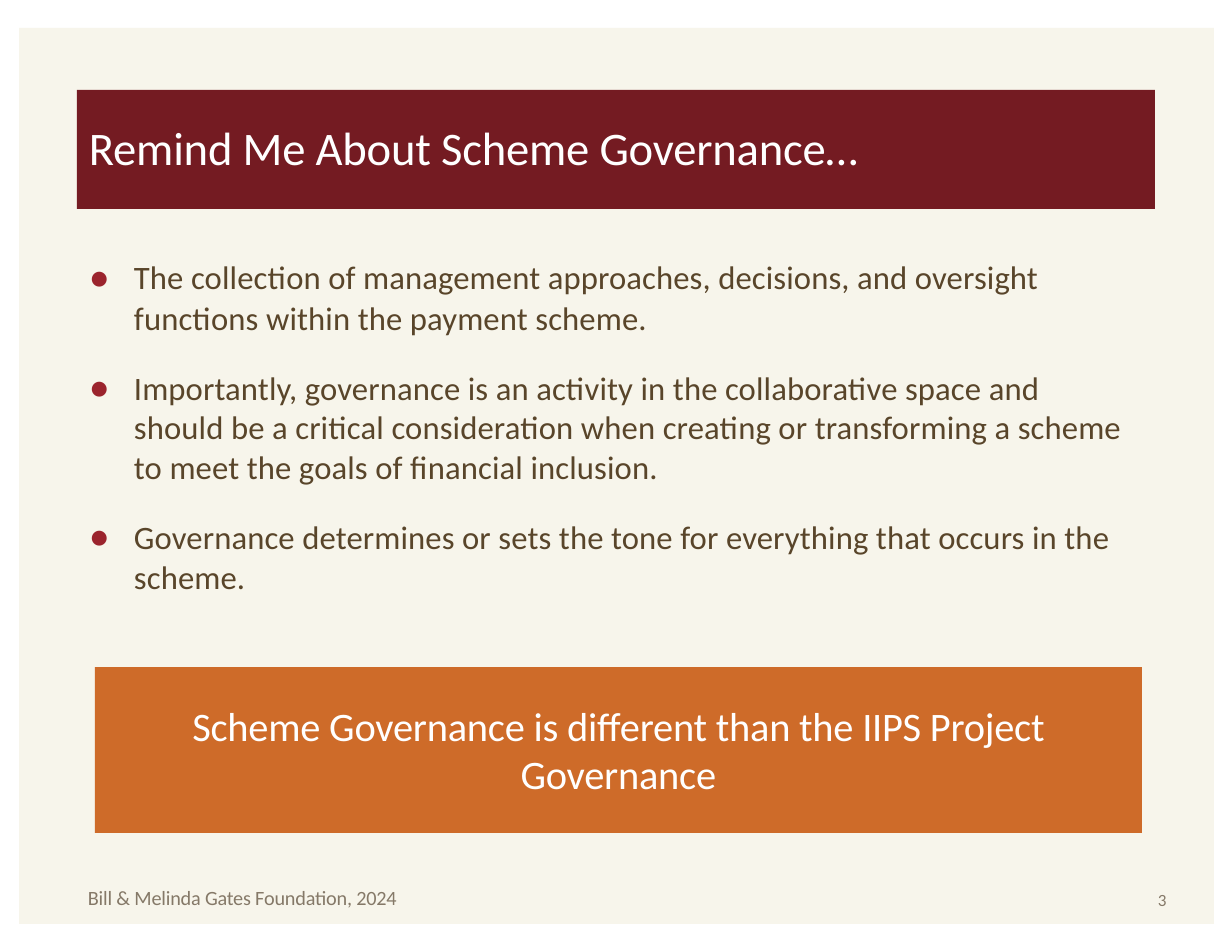
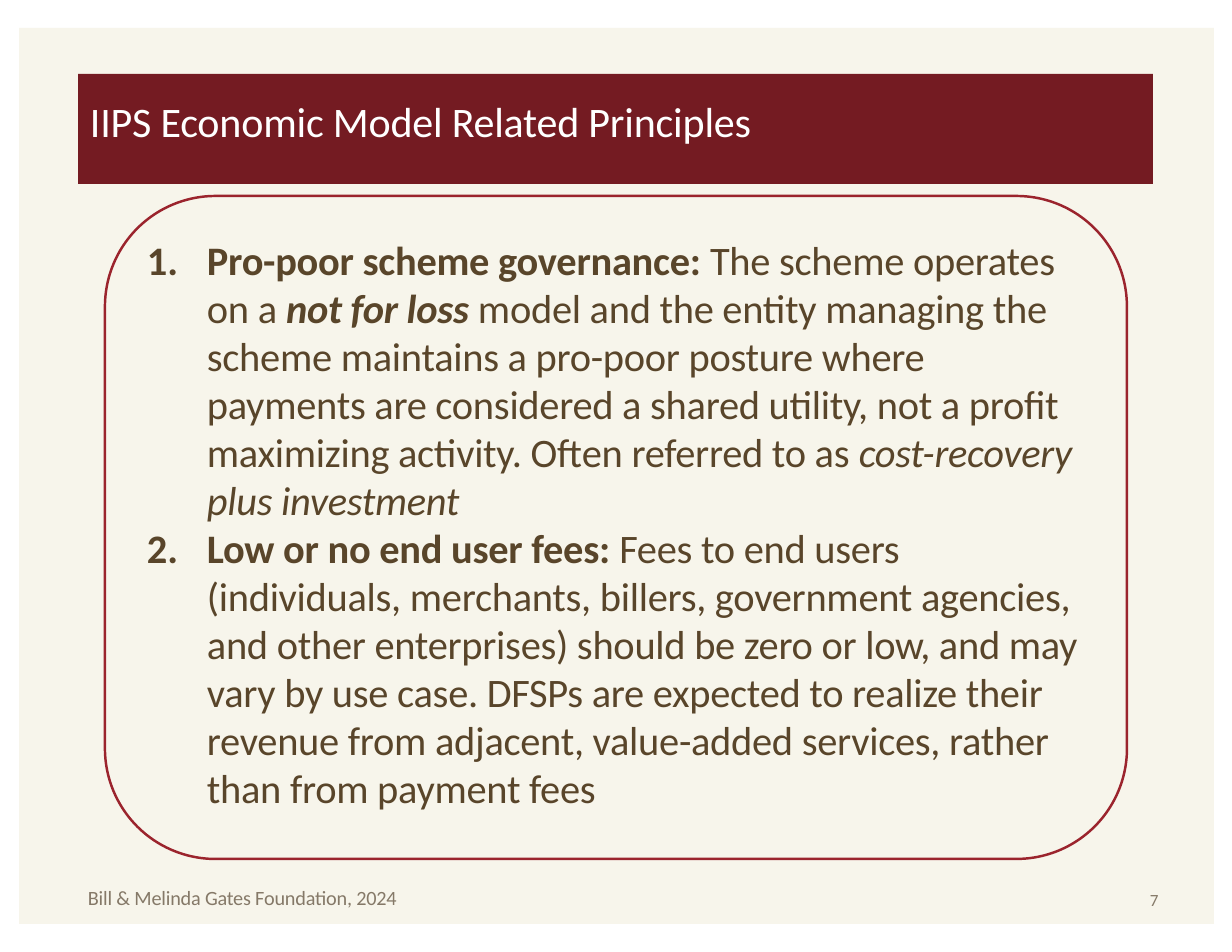
from lxml import etree
from pptx import Presentation
from pptx import util as u
from pptx.dml.color import RGBColor
from pptx.enum import shapes, text
from pptx.oxml.ns import qn

PX = 914400 / 112
FONT = "Calibri"
PAPER = RGBColor(0xF7, 0xF5, 0xEB)
MAROON = RGBColor(0x74, 0x1B, 0x22)
RED = RGBColor(0x9B, 0x24, 0x2D)
ORANGE = RGBColor(0xCE, 0x6B, 0x29)
BROWN = RGBColor(0x59, 0x45, 0x2A)
TAUPE = RGBColor(0x85, 0x79, 0x68)
WHITE = RGBColor(0xFF, 0xFF, 0xFF)

PANEL = (19, 28, 1195, 896)
FOOTER = "Bill & Melinda Gates Foundation, 2024"
FOOTER_AREA = (88, 885, 330, 28)
NUMBER_TOP = 889

GOVERNANCE = [
    ("The collection of management approaches, decisions, and oversight "
     "functions within the payment scheme.", 1.03, 0),
    ("Importantly, governance is an activity in the collaborative space and "
     "should be a critical consideration when creating or transforming a scheme "
     "to meet the goals of financial inclusion.", 1.01, 19.6),
    ("Governance determines or sets the tone for everything that occurs in the "
     "scheme.", 1.03, 19.2),
]
CALLOUT = "Scheme Governance is different than the IIPS Project Governance"

PRINCIPLES = [
    [("Pro-poor scheme governance: ", "b"),
     ("The scheme operates on a ", ""),
     ("not for loss ", "bi"),
     ("model and the entity managing the scheme maintains a pro-poor posture "
      "where payments are considered a shared utility, not a profit maximizing "
      "activity. Often referred to as ", ""),
     ("cost-recovery plus investment", "i")],
    [("Low or no end user fees: ", "b"),
     ("Fees to end users (individuals, merchants, billers, government agencies, "
      "and other enterprises) should be zero or low, and may vary by use case. "
      "DFSPs are expected to realize their revenue from adjacent, value-added "
      "services, rather than from payment fees", "")],
]


def px(value):
    return u.Emu(int(value * PX))


def add_block(page, kind, area, fill=None, line=None):
    block = page.shapes.add_shape(kind, *map(px, area))
    block.shadow.inherit = False
    if fill is None:
        block.fill.background()
    else:
        block.fill.solid()
        block.fill.fore_color.rgb = fill
    if line is None:
        block.line.fill.background()
    else:
        block.line.color.rgb = line
        block.line.width = u.Pt(1.6)
    return block


def add_box(page, area):
    return page.shapes.add_textbox(*map(px, area))


def prepare_frame(box, left=0, top=0, right=0):
    frame = box.text_frame
    frame.word_wrap = True
    frame.vertical_anchor = text.MSO_ANCHOR.TOP
    frame.margin_left, frame.margin_top = px(left), px(top)
    frame.margin_right, frame.margin_bottom = px(right), 0
    return frame


def write(para, spans, size, color, tracking=0, align=text.PP_ALIGN.LEFT):
    para.alignment = align
    para.font.name = FONT
    para.font.size = u.Pt(size)
    para.font.color.rgb = color
    for words, style in spans:
        span = para.add_run()
        span.text = words
        if "b" in style:
            span.font.bold = True
        if "i" in style:
            span.font.italic = True
        if tracking:
            span._r.get_or_add_rPr().set("spc", str(tracking))


def add_marker(para, indent, hanging, marks):
    props = para._p.get_or_add_pPr()
    props.set("marL", str(px(indent)))
    props.set("indent", str(-px(hanging)))
    for tag, attributes in marks:
        mark = etree.SubElement(props, qn(tag), attributes)
        if tag == "a:buClr":
            etree.SubElement(mark, qn("a:srgbClr"), {"val": str(RED)})


BULLET = [("a:buClr", {}), ("a:buSzPct", {"val": "129000"}),
          ("a:buFont", {"typeface": FONT}), ("a:buChar", {"char": "•"})]
NUMBERING = [("a:buFont", {"typeface": FONT}), ("a:buAutoNum", {"type": "arabicPeriod"})]


def paragraphs(frame, count):
    return [frame.paragraphs[0]] + [frame.add_paragraph() for _ in range(count - 1)]


def start_page(deck, title, band, title_size, title_top, number, number_left):
    page = deck.slides.add_slide(deck.slide_layouts[6])
    rectangle = shapes.MSO_SHAPE.RECTANGLE
    add_block(page, rectangle, PANEL, PAPER)
    heading = prepare_frame(add_block(page, rectangle, band, MAROON), 12, title_top)
    write(heading.paragraphs[0], [(title, "")], title_size, WHITE, -14)
    footer = prepare_frame(add_box(page, FOOTER_AREA))
    write(footer.paragraphs[0], [(FOOTER, "")], 13, TAUPE, -10)
    folio = prepare_frame(add_box(page, (number_left, NUMBER_TOP, 20, 22)))
    write(folio.paragraphs[0], [(number, "")], 11, TAUPE)
    return page


def build_governance(deck):
    page = start_page(deck, "Remind Me About Scheme Governance…",
                      (77, 90, 1078, 119), 30, 29, "3", 1158)
    frame = prepare_frame(add_box(page, (88, 256, 1038, 342)))
    for para, (words, spacing, before) in zip(paragraphs(frame, len(GOVERNANCE)), GOVERNANCE):
        add_marker(para, 46, 45, BULLET)
        para.line_spacing = spacing
        para.space_before = u.Pt(before)
        write(para, [(words, "")], 21, BROWN, 8)
    callout = add_block(page, shapes.MSO_SHAPE.RECTANGLE, (95, 667, 1047, 166), ORANGE)
    para = prepare_frame(callout, 80, 34, 80).paragraphs[0]
    para.line_spacing = u.Pt(31)
    write(para, [(CALLOUT, "")], 26, WHITE, -18, text.PP_ALIGN.CENTER)


def build_principles(deck):
    page = start_page(deck, "IIPS Economic Model Related Principles",
                      (78, 74, 1075, 110), 27, 21, "7", 1150)
    add_block(page, shapes.MSO_SHAPE.ROUNDED_RECTANGLE, (105, 196, 1022, 663), line=RED)
    frame = prepare_frame(add_box(page, (146, 235, 935, 579)), top=2)
    for para, spans in zip(paragraphs(frame, len(PRINCIPLES)), PRINCIPLES):
        add_marker(para, 61, 60, NUMBERING)
        para.line_spacing = 0.99
        write(para, spans, 26, BROWN, -21)


def main():
    deck = Presentation()
    deck.slide_width, deck.slide_height = px(1232), px(952)
    build_governance(deck)
    build_principles(deck)
    deck.save("out.pptx")


if __name__ == "__main__":
    main()
